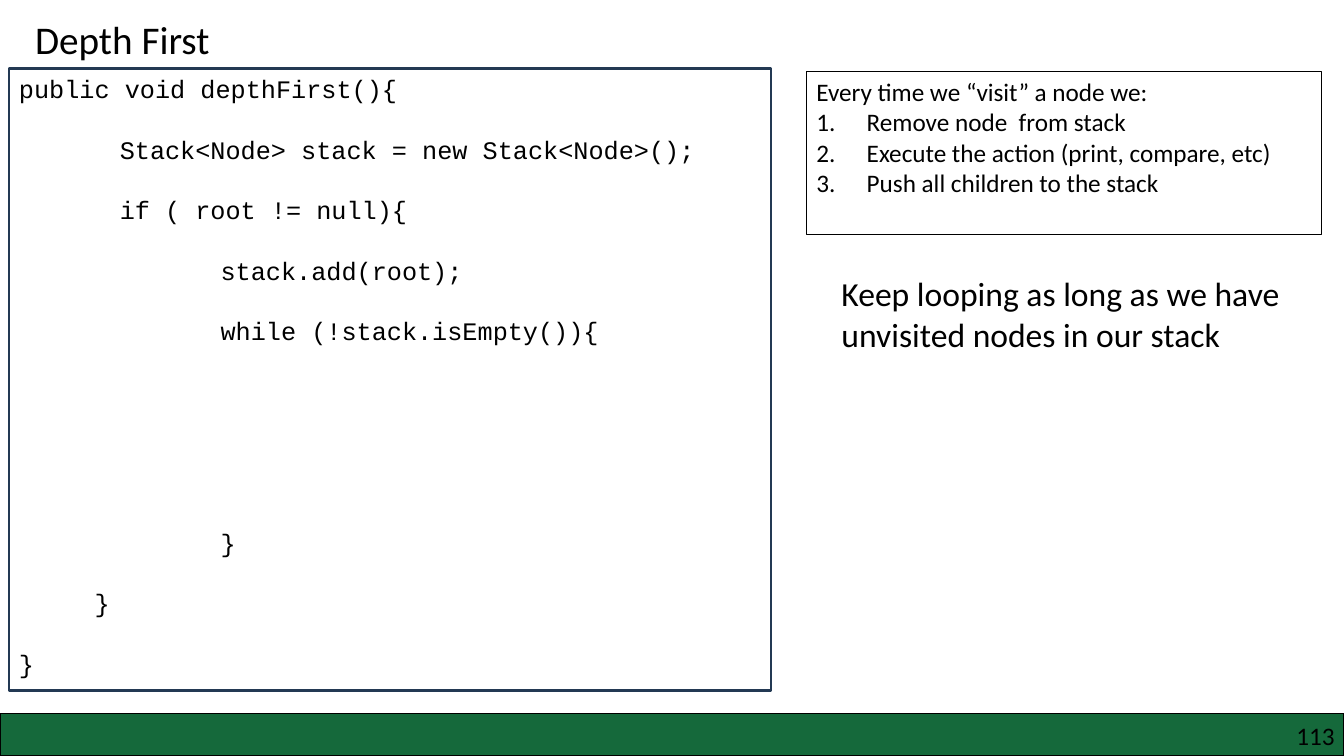
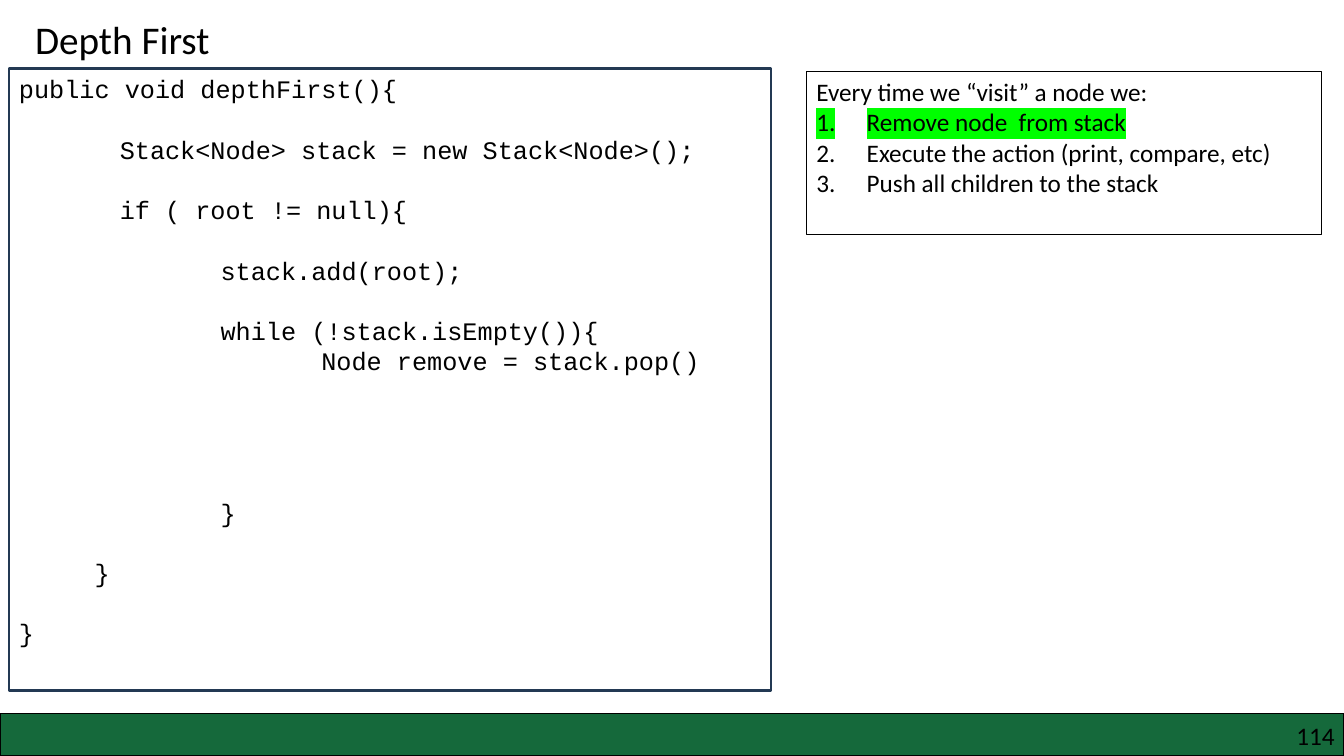
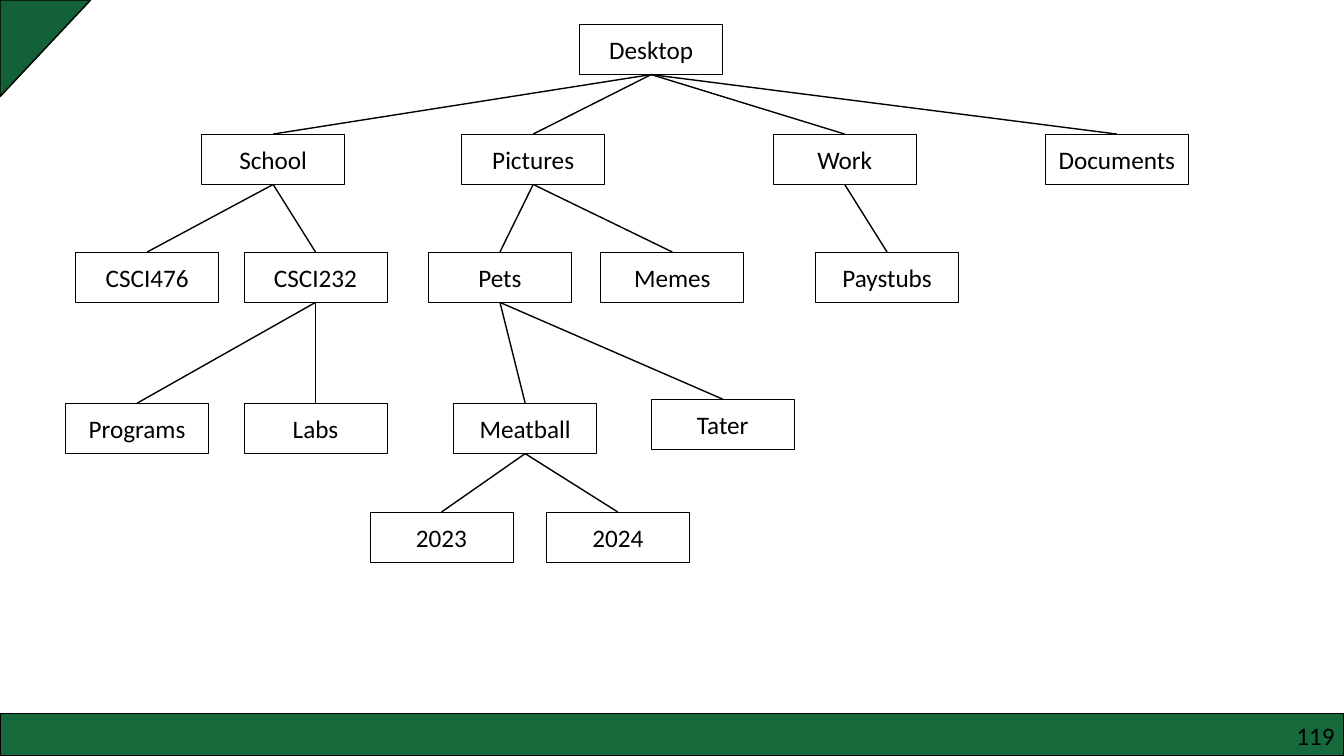
from dataclasses import dataclass

from lxml import etree
from pptx import Presentation
from pptx.dml.color import RGBColor
from pptx.enum.shapes import MSO_CONNECTOR, MSO_SHAPE
from pptx.enum.text import MSO_ANCHOR, PP_ALIGN
from pptx.oxml.ns import qn
from pptx.util import Inches, Pt

RECTANGLE = MSO_SHAPE.RECTANGLE
STRAIGHT = MSO_CONNECTOR.STRAIGHT
TOP, MIDDLE = MSO_ANCHOR.TOP, MSO_ANCHOR.MIDDLE
LEFT, CENTER, RIGHT = PP_ALIGN.LEFT, PP_ALIGN.CENTER, PP_ALIGN.RIGHT

BLACK, WHITE, NAVY = "000000", "FFFFFF", "233953"
BAND_GREEN, CORNER_GREEN, MARKER_GREEN = "15693B", "136136", "00FF00"
BODY_FONT, CODE_FONT = "Calibri", "Courier New"
SLIDE_WIDTH, SLIDE_HEIGHT = 40 / 3, 7.5
BAND_TOP = 7.08
FOLDER_WIDTH, FOLDER_HEIGHT = 1.42, 0.5
CODE_PITCH = 21.6
CODE_TABS = (1, 2, 3)
BOTTOM_SITE, TOP_SITE = 2, 0


@dataclass(frozen=True)
class Box:
    """Place of a shape, in inches."""
    left: float
    top: float
    width: float
    height: float

    def lengths(self) -> list:
        """Return the four lengths for python-pptx."""
        return [Inches(value) for value in (self.left, self.top, self.width, self.height)]


@dataclass(frozen=True)
class CodeLine:
    """A line of code and the number of empty lines above it."""
    text: str
    gap: int = 1


@dataclass(frozen=True)
class Folder:
    """A node of the folder tree."""
    name: str
    left: float
    top: float
    parent: str = ""


CODE_START = [
    CodeLine("public void depthFirst(){", 0),
    CodeLine("\tStack<Node> stack = new Stack<Node>();"),
    CodeLine("\tif ( root != null){"),
    CodeLine("\t\tstack.add(root);"),
    CodeLine("\t\twhile (!stack.isEmpty()){"),
]
CODE_END = [CodeLine("     }"), CodeLine("}")]
EMPTY_LOOP = [CodeLine("\t\t}", 6)]
POP_LOOP = [CodeLine("\t\t\tNode remove = stack.pop()", 0), CodeLine("\t\t}", 4)]

VISIT_HEADING = "Every time we “visit” a node we:"
VISIT_STEPS = [
    "Remove node  from stack",
    "Execute the action (print, compare, etc)",
    "Push all children to the stack",
]
LOOP_NOTE = "Keep looping as long as we have unvisited nodes in our stack"

FOLDERS = [
    Folder("Desktop", 5.75, 0.24),
    Folder("School", 2, 1.33, "Desktop"),
    Folder("Pictures", 4.58, 1.33, "Desktop"),
    Folder("Work", 7.67, 1.33, "Desktop"),
    Folder("Documents", 10.37, 1.33, "Desktop"),
    Folder("CSCI476", 0.75, 2.5, "School"),
    Folder("CSCI232", 2.42, 2.5, "School"),
    Folder("Pets", 4.25, 2.5, "Pictures"),
    Folder("Memes", 5.96, 2.5, "Pictures"),
    Folder("Paystubs", 8.09, 2.5, "Work"),
    Folder("Programs", 0.65, 4, "CSCI232"),
    Folder("Labs", 2.42, 4, "CSCI232"),
    Folder("Meatball", 4.5, 4, "Pets"),
    Folder("Tater", 6.46, 3.96, "Pets"),
    Folder("2023", 3.67, 5.08, "Meatball"),
    Folder("2024", 5.42, 5.08, "Meatball"),
]


def color(value: str) -> RGBColor:
    """Turn a hex string into a colour."""
    return RGBColor.from_string(value)


def apply_format(target, values: dict) -> None:
    """Set each named attribute on the target."""
    for name, value in values.items():
        setattr(target, name, value)


def style_shape(shape, fill: str, line: str, width: float) -> None:
    """Give a shape its fill and outline and remove its shadow."""
    shape.shadow.inherit = False
    if fill:
        shape.fill.solid()
        shape.fill.fore_color.rgb = color(fill)
    else:
        shape.fill.background()
    shape.line.color.rgb = color(line)
    shape.line.width = Pt(width)


def add_rectangle(slide, box: Box, fill: str, line: str, width: float):
    """Add a styled rectangle."""
    shape = slide.shapes.add_shape(RECTANGLE, *box.lengths())
    style_shape(shape, fill, line, width)
    return shape


def write_lines(shape, lines: list[str], size: float = 18, font: str = BODY_FONT,
                align=LEFT, anchor=TOP) -> list:
    """Write one paragraph per line and return the paragraphs."""
    frame = shape.text_frame
    apply_format(frame, {"word_wrap": True, "vertical_anchor": anchor})
    paragraphs = []
    for index, line in enumerate(lines):
        paragraph = frame.add_paragraph() if index else frame.paragraphs[0]
        paragraph.alignment = align
        run = paragraph.add_run()
        run.text = line
        apply_format(run.font, {"size": Pt(size), "name": font})
        run.font.color.rgb = color(BLACK)
        paragraphs.append(paragraph)
    return paragraphs


def add_text(slide, box: Box, text: str, size: float, align=LEFT):
    """Add a text box with one paragraph."""
    shape = slide.shapes.add_textbox(*box.lengths())
    write_lines(shape, [text], size, align=align)
    return shape


def number_paragraph(paragraph) -> None:
    """Make a paragraph an item of a numbered list."""
    properties = paragraph._p.get_or_add_pPr()
    indent = Inches(0.5)
    properties.set("marL", str(indent))
    properties.set("indent", str(-indent))
    etree.SubElement(properties, qn("a:buAutoNum"), type="arabicPeriod")


def add_tab_stops(paragraph) -> None:
    """Give a paragraph the tab stops of the code listing."""
    stops = etree.SubElement(paragraph._p.get_or_add_pPr(), qn("a:tabLst"))
    for position in CODE_TABS:
        etree.SubElement(stops, qn("a:tab"), pos=str(Inches(position)), algn="l")


def highlight_run(run, value: str) -> None:
    """Put a marker colour behind a run."""
    highlight = etree.Element(qn("a:highlight"))
    etree.SubElement(highlight, qn("a:srgbClr"), val=value)
    run._r.rPr.find(qn("a:solidFill")).addnext(highlight)


def add_slide(presentation, number: int):
    """Add a blank slide with the green band and its number."""
    slide = presentation.slides.add_slide(presentation.slide_layouts[6])
    band = Box(0, BAND_TOP, SLIDE_WIDTH, SLIDE_HEIGHT - BAND_TOP)
    add_rectangle(slide, band, BAND_GREEN, BLACK, 1)
    label = add_text(slide, Box(10.17, 7.15, 3.07, 0.3), str(number), 18, RIGHT)
    sides = ("margin_left", "margin_top", "margin_right", "margin_bottom")
    apply_format(label.text_frame, dict.fromkeys(sides, 0))
    return slide


def add_code(slide, lines: list[CodeLine]) -> None:
    """Draw the framed code listing."""
    shape = add_rectangle(slide, Box(0.09, 0.68, 7.56, 6.17), "", NAVY, 2)
    paragraphs = write_lines(shape, [line.text for line in lines], font=CODE_FONT)
    for paragraph, line in zip(paragraphs, lines):
        paragraph.line_spacing = Pt(CODE_PITCH)
        if line.gap:
            paragraph.space_before = Pt(CODE_PITCH * line.gap)
        add_tab_stops(paragraph)


def add_visit_steps(slide, current: int | None) -> None:
    """Draw the list of steps and mark the current one."""
    shape = add_rectangle(slide, Box(8, 0.71, 5.11, 1.62), "", BLACK, 0.75)
    steps = write_lines(shape, [VISIT_HEADING, *VISIT_STEPS])[1:]
    for index, paragraph in enumerate(steps):
        number_paragraph(paragraph)
        if index == current:
            highlight_run(paragraph.runs[0], MARKER_GREEN)


def add_depth_first_slide(presentation, number: int, loop: list[CodeLine],
                          current: int | None = None):
    """Build a slide with the code and the steps of a visit."""
    slide = add_slide(presentation, number)
    add_text(slide, Box(0.25, 0.1, 2.13, 0.57), "Depth First", 28)
    add_code(slide, CODE_START + loop + CODE_END)
    add_visit_steps(slide, current)
    return slide


def add_corner(slide) -> None:
    """Draw the green triangle in the top left corner."""
    builder = slide.shapes.build_freeform(Inches(0), Inches(0))
    builder.add_line_segments([(Inches(0.9), Inches(0)), (Inches(0), Inches(0.96))])
    style_shape(builder.convert_to_shape(), CORNER_GREEN, BLACK, 1)


def add_branch(slide, parent, child) -> None:
    """Join a folder to the folder inside it."""
    connector = slide.shapes.add_connector(STRAIGHT, 0, 0, 0, 0)
    connector.begin_connect(parent, BOTTOM_SITE)
    connector.end_connect(child, TOP_SITE)
    connector.line.color.rgb = color(BLACK)
    connector.line.width = Pt(1)
    etree.SubElement(connector._element.spPr, qn("a:effectLst"))


def add_tree_slide(presentation, number: int) -> None:
    """Build the slide with the folder tree."""
    slide = add_slide(presentation, number)
    add_corner(slide)
    shapes = {}
    for folder in FOLDERS:
        box = Box(folder.left, folder.top, FOLDER_WIDTH, FOLDER_HEIGHT)
        shape = add_rectangle(slide, box, WHITE, BLACK, 0.5)
        write_lines(shape, [folder.name], align=CENTER, anchor=MIDDLE)
        shapes[folder.name] = shape
    for folder in FOLDERS:
        if folder.parent:
            add_branch(slide, shapes[folder.parent], shapes[folder.name])


def main() -> None:
    """Build and save the presentation."""
    presentation = Presentation()
    apply_format(presentation, {"slide_width": Inches(SLIDE_WIDTH),
                                "slide_height": Inches(SLIDE_HEIGHT)})
    loop_slide = add_depth_first_slide(presentation, 113, EMPTY_LOOP)
    add_text(loop_slide, Box(8.25, 2.66, 4.63, 1.31), LOOP_NOTE, 24)
    add_depth_first_slide(presentation, 114, POP_LOOP, current=0)
    add_tree_slide(presentation, 119)
    presentation.save("out.pptx")


if __name__ == "__main__":
    main()
